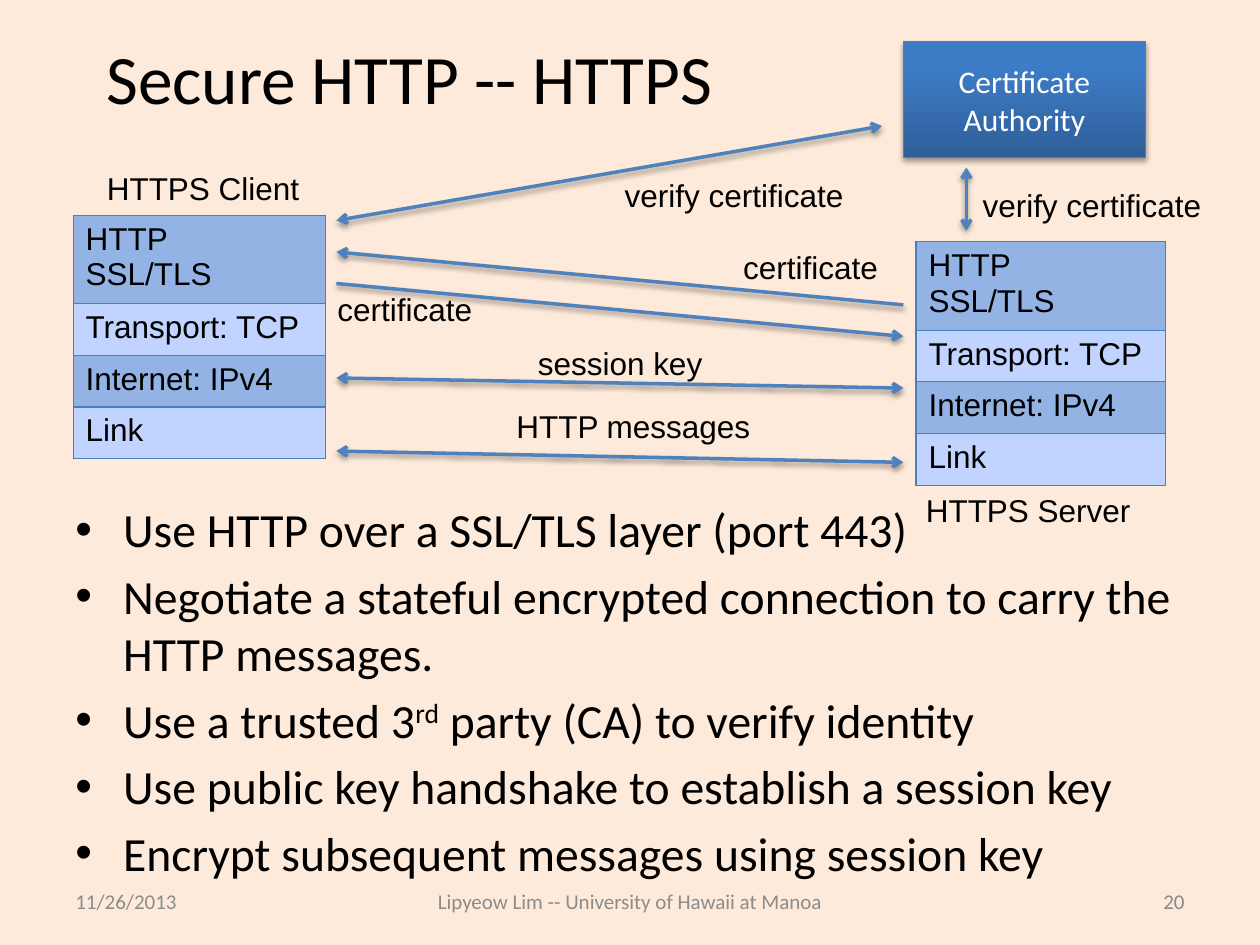
import pptx
import pptx.util
import pptx.dml.color
import pptx.enum.shapes
import pptx.enum.text
import pptx.oxml
import pptx.oxml.ns

Inches, Pt = pptx.util.Inches, pptx.util.Pt
ALIGN = pptx.enum.text.PP_ALIGN
ANCHOR = pptx.enum.text.MSO_ANCHOR
NAMESPACE = pptx.oxml.ns.nsdecls("a")
LINE_BLUE, BORDER_BLUE = "4F81BD", "4B7EBC"
DARK_ROW, LIGHT_ROW = "93B3E5", "C0D4FF"


def color(hex_value):
    return pptx.dml.color.RGBColor.from_string(hex_value)


def write(paragraph, text, size=18, font="Arial", ink="000000", align=ALIGN.LEFT):
    paragraph.alignment = align
    run = paragraph.add_run()
    run.text = text
    run.font.size = Pt(size)
    run.font.name = font
    run.font.color.rgb = color(ink)
    return run


presentation = pptx.Presentation()
presentation.slide_width, presentation.slide_height = Inches(10), Inches(7.5)
slide = presentation.slides.add_slide(presentation.slide_layouts[6])
slide.background.fill.solid()
slide.background.fill.fore_color.rgb = color("FDEADA")

# Title and footer
framed_texts = [
    ("Secure HTTP -- HTTPS", 0.5, 0.3, 5.5, 0.62, 39.6, "000000", ALIGN.CENTER),
    ("11/26/2013", 0.5, 6.95, 2.33, 0.4, 12, "8C8C8C", ALIGN.LEFT),
    ("Lipyeow Lim -- University of Hawaii at Manoa", 3, 6.95, 4, 0.4, 12, "8C8C8C", ALIGN.CENTER),
    ("20", 7.17, 6.95, 2.33, 0.4, 12, "898989", ALIGN.RIGHT),
]
for text, left, top, width, height, size, ink, align in framed_texts:
    box = slide.shapes.add_textbox(Inches(left), Inches(top), Inches(width), Inches(height))
    box.text_frame.word_wrap = True
    box.text_frame.vertical_anchor = ANCHOR.MIDDLE
    write(box.text_frame.paragraphs[0], text, size, "Calibri", ink, align)

# Bullets, each a list of (text, is superscript)
bullets = [
    [("Use HTTP over a SSL/TLS layer (port 443)", False)],
    [("Negotiate a stateful encrypted connection to carry the HTTP messages.", False)],
    [("Use a trusted 3", False), ("rd", True), (" party (CA) to verify identity", False)],
    [("Use public key handshake to establish a session key", False)],
    [("Encrypt subsequent messages using session key", False)],
]
body = slide.shapes.add_textbox(Inches(0.5), Inches(3.92), Inches(9), Inches(3))
body.text_frame.word_wrap = True
for index, pieces in enumerate(bullets):
    paragraph = body.text_frame.add_paragraph() if index else body.text_frame.paragraphs[0]
    paragraph.space_before = Pt(5.4)
    for text, superscript in pieces:
        run = write(paragraph, text, 27.2, "Calibri")
        if superscript:
            run.font._element.set("baseline", "30000")
    properties = paragraph._p.get_or_add_pPr()
    properties.set("marL", str(Inches(0.38)))
    properties.set("indent", str(-Inches(0.38)))
    for bullet in ('<a:buFont %s typeface="Arial"/>', '<a:buChar %s char="•"/>'):
        properties.append(pptx.oxml.parse_xml(bullet % NAMESPACE))

# Protocol stacks of client and server
layers = [["HTTP", "SSL/TLS"], ["Transport: TCP"], ["Internet: IPv4"], ["Link"]]
for left, top, width, first_row in [(0.58, 1.71, 2, 0.7), (7.27, 1.92, 1.98, 0.66)]:
    row_heights = [first_row] + [0.41] * 3
    table = slide.shapes.add_table(len(layers), 1, Inches(left), Inches(top),
                                   Inches(width), Inches(sum(row_heights))).table
    for index, lines in enumerate(layers):
        table.rows[index].height = Inches(row_heights[index])
        cell = table.cell(index, 0)
        for number, text in enumerate(lines):
            frame = cell.text_frame
            write(frame.add_paragraph() if number else frame.paragraphs[0], text)
        for side in ("lnL", "lnR", "lnT", "lnB"):
            cell._tc.get_or_add_tcPr().append(pptx.oxml.parse_xml(
                f'<a:{side} {NAMESPACE} w="{Pt(0.75)}"><a:solidFill>'
                f'<a:srgbClr val="{BORDER_BLUE}"/></a:solidFill></a:{side}>'))
        cell.fill.solid()
        cell.fill.fore_color.rgb = color(LIGHT_ROW if index % 2 else DARK_ROW)

# Certificate authority
authority = slide.shapes.add_shape(pptx.enum.shapes.MSO_SHAPE.RECTANGLE,
                                   Inches(7.17), Inches(0.33), Inches(1.92), Inches(0.92))
authority.fill.gradient()
authority.fill.gradient_angle = 90
for stop, (position, shade) in zip(authority.fill.gradient_stops, [(0, "2F5F99"), (0.8, "3D7CC7")]):
    stop.position = position
    stop.color.rgb = color(shade)
authority.line.color.rgb = color(BORDER_BLUE)
authority.line.width = Pt(0.75)
authority.text_frame.word_wrap = True
authority.text_frame.vertical_anchor = ANCHOR.MIDDLE
write(authority.text_frame.paragraphs[0], "Certificate Authority", 18, "Calibri", "FFFFFF", ALIGN.CENTER)
shadowed = [authority]

# Message arrows: start, end, ends that carry an arrowhead
both_ends = ("headEnd", "tailEnd")
arrows = [
    (2.67, 1.75, 7, 1, both_ends),
    (7.67, 1.33, 7.67, 1.83, both_ends),
    (7.17, 2.42, 2.67, 2, ("tailEnd",)),
    (2.67, 2.25, 7.17, 2.67, ("tailEnd",)),
    (2.67, 3, 7.17, 3.08, both_ends),
    (2.67, 3.58, 7.17, 3.67, both_ends),
]
for start_x, start_y, end_x, end_y, ends in arrows:
    arrow = slide.shapes.add_connector(pptx.enum.shapes.MSO_CONNECTOR.STRAIGHT, Inches(start_x),
                                       Inches(start_y), Inches(end_x), Inches(end_y))
    arrow.line.color.rgb = color(LINE_BLUE)
    arrow.line.width = Pt(2)
    for end in ends:
        arrow.line._get_or_add_ln().append(
            pptx.oxml.parse_xml(f'<a:{end} {NAMESPACE} type="arrow"/>'))
    shadowed.append(arrow)

# Soft shadow below the authority and the arrows
for shape in shadowed:
    shape._element.spPr.append(pptx.oxml.parse_xml(
        f'<a:effectLst {NAMESPACE}><a:outerShdw blurRad="{Pt(3.1)}" dist="{Pt(1.7)}" dir="5400000" '
        'rotWithShape="0"><a:srgbClr val="000000"><a:alpha val="37000"/></a:srgbClr>'
        '</a:outerShdw></a:effectLst>'))

# Labels
labels = [
    ("HTTPS Client", 0.75, 1.29, 1.74),
    ("HTTPS Server", 7.25, 3.85, 1.84),
    ("verify certificate", 4.86, 1.35, 1.97),
    ("verify certificate", 7.7, 1.43, 1.97),
    ("certificate", 5.8, 1.92, 1.28),
    ("certificate", 2.58, 2.25, 1.28),
    ("session key", 4.17, 2.68, 1.52),
    ("HTTP messages", 4, 3.18, 2.08),
]
for text, left, top, width in labels:
    label = slide.shapes.add_textbox(Inches(left), Inches(top), Inches(width), Inches(0.4))
    label.text_frame.word_wrap = False
    label.text_frame.auto_size = pptx.enum.text.MSO_AUTO_SIZE.SHAPE_TO_FIT_TEXT
    write(label.text_frame.paragraphs[0], text)

presentation.save("out.pptx")
